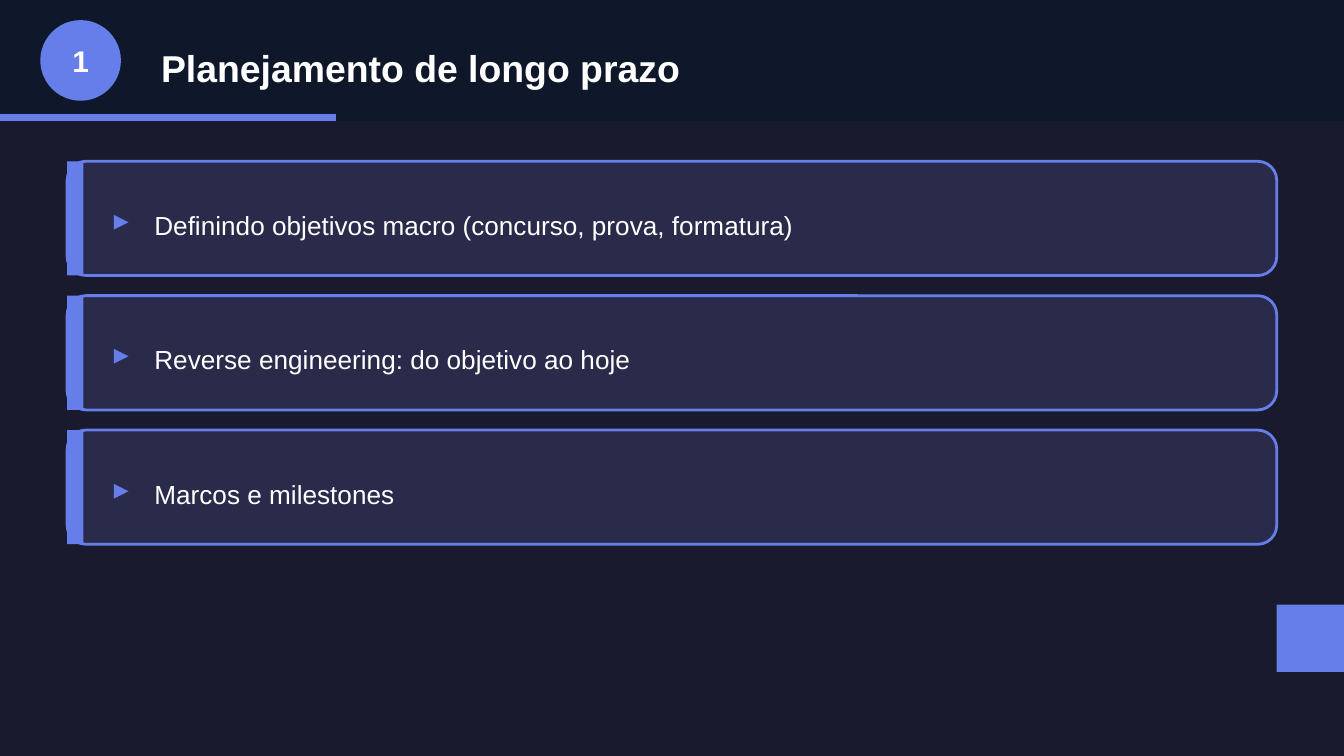
from pptx import Presentation
from pptx import util as u
from pptx.dml.color import RGBColor
from pptx.enum import shapes, text

COLORS = {
    "page": "1A1A2E",
    "header": "0F172A",
    "accent": "667EEA",
    "card": "2A2A4A",
    "white": "FFFFFF",
}
TOPICS = [
    "Definindo objetivos macro (concurso, prova, formatura)",
    "Reverse engineering: do objetivo ao hoje",
    "Marcos e milestones",
]
KIND = shapes.MSO_SHAPE

deck = Presentation()
deck.slide_width = u.Inches(10)
deck.slide_height = deck.slide_width * 9 // 16
page = deck.slides.add_slide(deck.slide_layouts[6])
page.background.fill.solid()
page.background.fill.fore_color.rgb = RGBColor.from_string(COLORS["page"])

# Square grid: 100 columns across the page, rows of the same size
CELL = deck.slide_width / 100


def add_block(kind, area, fill, outline=None):
    """Draw a filled shape; area is left, top, width, height in grid cells."""
    block = page.shapes.add_shape(kind, *(round(n * CELL) for n in area))
    block.shadow.inherit = False
    block.fill.solid()
    block.fill.fore_color.rgb = RGBColor.from_string(COLORS[fill])
    if outline:
        block.line.color.rgb = RGBColor.from_string(COLORS[outline])
        block.line.width = u.Pt(1.5)
    else:
        block.line.fill.background()


def add_label(words, area, size, color="white", bold=True, align=text.PP_ALIGN.LEFT):
    box = page.shapes.add_textbox(*(round(n * CELL) for n in area))
    frame = box.text_frame
    frame.word_wrap = True
    frame.vertical_anchor = text.MSO_ANCHOR.MIDDLE
    para = frame.paragraphs[0]
    para.alignment = align
    span = para.add_run()
    span.text = words
    for name, value in {"name": "Arial", "size": u.Pt(size), "bold": bold}.items():
        setattr(span.font, name, value)
    span.font.color.rgb = RGBColor.from_string(COLORS[color])


# Header with its underline, number badge and title
add_block(KIND.RECTANGLE, (0, 0, 100, 9), "header")
add_block(KIND.RECTANGLE, (0, 8.5, 25, 0.5), "accent")
add_block(KIND.OVAL, (3, 1.5, 6, 6), "accent")
add_label("1", (3, 2.5, 6, 4), 16, align=text.PP_ALIGN.CENTER)
add_label("Planejamento de longo prazo", (11, 2.5, 85, 5), 20)

# One card per topic, ten rows apart
for index, topic in enumerate(TOPICS):
    top = 12 + 10 * index
    add_block(KIND.ROUNDED_RECTANGLE, (5, top, 90, 8.5), "card", outline="accent")
    add_block(KIND.RECTANGLE, (5, top, 1.2, 8.5), "accent")
    add_label("▸", (7.5, top + 2.5, 3, 3.5), 16, color="accent")
    add_label(topic, (10.5, top + 2.5, 82, 4.5), 14, bold=False)

# Corner accent at the right edge
add_block(KIND.RECTANGLE, (95, 45, 5, 5), "accent")

deck.save("out.pptx")
